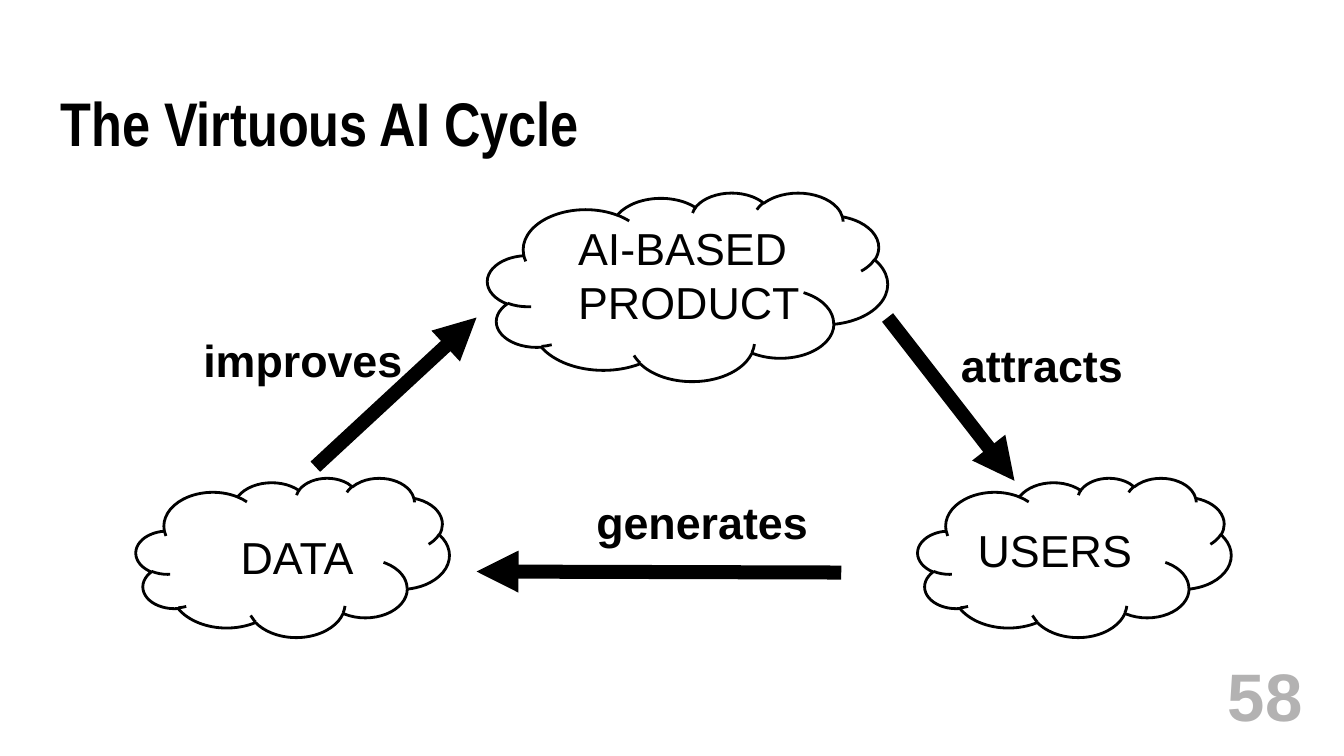
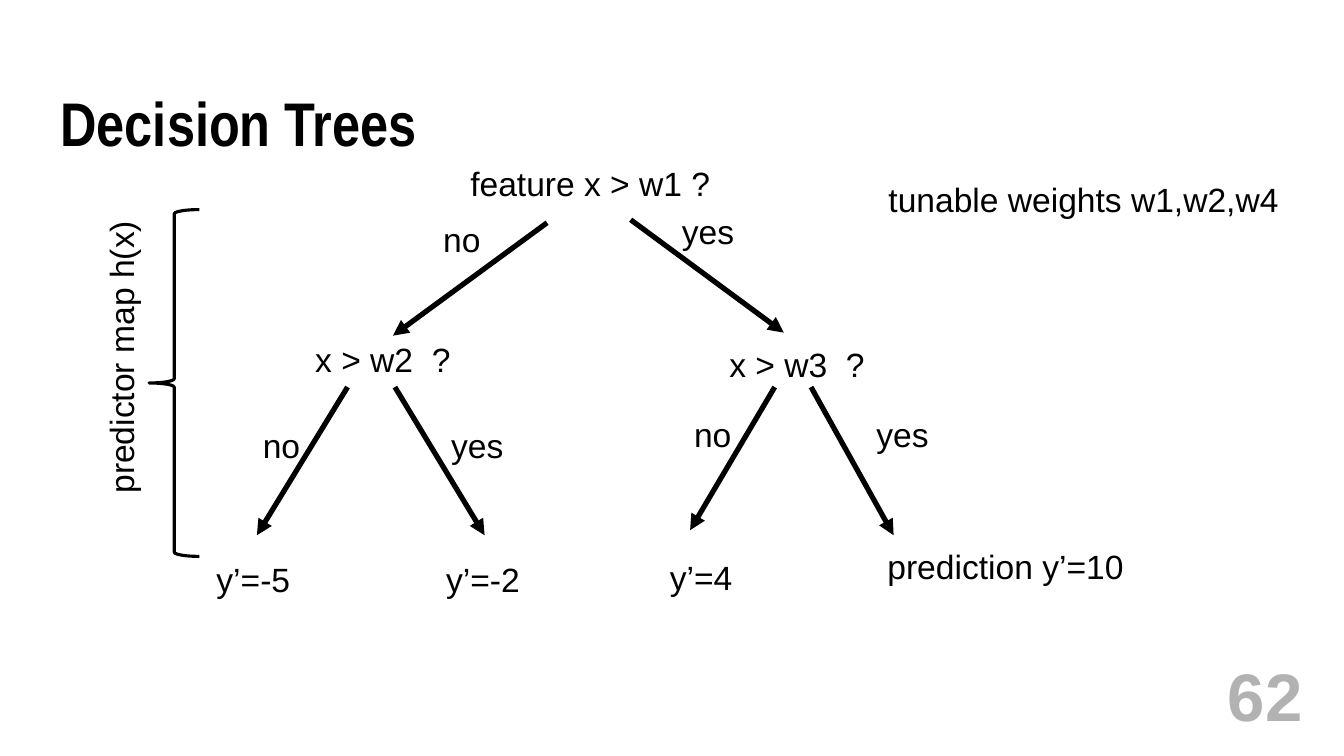
import dataclasses

import lxml.etree
import pptx
import pptx.dml.color
import pptx.enum.shapes
import pptx.enum.text
import pptx.oxml.ns
import pptx.util

Inches = pptx.util.Inches
Pt = pptx.util.Pt
RGB = pptx.dml.color.RGBColor
SHAPE = pptx.enum.shapes.MSO_SHAPE
STRAIGHT = pptx.enum.shapes.MSO_CONNECTOR.STRAIGHT
ALIGN = pptx.enum.text.PP_ALIGN
ANCHOR = pptx.enum.text.MSO_ANCHOR
AUTO = pptx.enum.text.MSO_AUTO_SIZE
qn = pptx.oxml.ns.qn


@dataclasses.dataclass(frozen=True)
class Theme:
    ink: RGB = RGB(0x00, 0x00, 0x00)
    muted: RGB = RGB(0xB3, 0xB2, 0xB2)
    body_font: str = "Arial"
    title_font: str = "Arial Narrow"
    title_size: int = 44
    number_size: int = 48
    cycle_size: int = 32
    tree_size: int = 24
    cycle_arrow: float = 10
    tree_arrow: float = 3.75
    cloud_line: float = 2
    brace_line: float = 2.25


@dataclasses.dataclass(frozen=True)
class Box:
    left: float
    top: float
    width: float
    height: float

    def inner(self, left, top, width, height):
        """Turn a box relative to this one into a slide box."""
        return Box(self.left + left, self.top + top, width, height)

    def point(self, x, y):
        return Inches(self.left + x), Inches(self.top + y)

    def emu(self):
        return [Inches(v) for v in dataclasses.astuple(self)]


THEME = Theme()
TITLE_BOX = Box(0.6, 0.92, 12.13, 0.67)
NUMBER_BOX = Box(10.92, 6.58, 2.05, 0.63)
CYCLE_BOX = Box(1.35, 1.91, 10.87, 4.41)
TREE_BOX = Box(2.05, 1.57, 10.79, 4.43)
BRACE_BOX = Box(0.95, 2.08, 1.03, 3.44)
LINE_HEIGHT = {THEME.cycle_size: 0.64, THEME.tree_size: 0.5}


def apply(obj, values):
    for name, value in values.items():
        setattr(obj, name, value)


def set_margins(tf, size):
    apply(tf, {f"margin_{side}": Inches(size)
               for side in ("left", "top", "right", "bottom")})


def write(tf, text, size, font=THEME.body_font, color=THEME.ink, bold=False,
          align=ALIGN.LEFT):
    """Fill a text frame, one paragraph for each line of text."""
    for i, line in enumerate(text.split("\n")):
        p = tf.add_paragraph() if i else tf.paragraphs[0]
        p.alignment = align
        r = p.add_run()
        r.text = line
        apply(r.font, {"name": font, "size": Pt(size), "bold": bold})
        r.font.color.rgb = color


def add_text(slide, box, text, size, wrap=True, **style):
    sp = slide.shapes.add_textbox(*box.emu())
    apply(sp.text_frame, {"word_wrap": wrap,
                          "auto_size": AUTO.SHAPE_TO_FIT_TEXT})
    write(sp.text_frame, text, size, **style)
    return sp


def add_outline(slide, kind, box, width):
    sp = slide.shapes.add_shape(kind, *box.emu())
    sp.shadow.inherit = False
    sp.fill.background()
    sp.line.color.rgb = THEME.ink
    sp.line.width = Pt(width)


def add_arrow(slide, box, start, end, width):
    line = slide.shapes.add_connector(
        STRAIGHT, *box.point(*start), *box.point(*end))
    line.line.color.rgb = THEME.ink
    line.line.width = Pt(width)
    ln = line.line._get_or_add_ln()
    lxml.etree.SubElement(ln, qn("a:tailEnd"), type="triangle")
    lxml.etree.SubElement(line._element.spPr, qn("a:effectLst"))


def add_titled_slide(prs, title, number):
    slide = prs.slides.add_slide(prs.slide_layouts[5])
    sp = slide.shapes.title
    apply(sp, dict(zip(("left", "top", "width", "height"), TITLE_BOX.emu())))
    tf = sp.text_frame
    apply(tf, {"word_wrap": True, "auto_size": AUTO.NONE,
               "vertical_anchor": ANCHOR.MIDDLE})
    set_margins(tf, 0)
    write(tf, title, THEME.title_size, font=THEME.title_font, bold=True)
    tf.paragraphs[0].line_spacing = 0.9

    tf = add_text(slide, NUMBER_BOX, number, THEME.number_size,
                  color=THEME.muted, bold=True, align=ALIGN.RIGHT).text_frame
    apply(tf, {"auto_size": AUTO.NONE, "vertical_anchor": ANCHOR.MIDDLE})
    set_margins(tf, 0.04)
    return slide


def draw_cycle(slide, box):
    size = THEME.cycle_size
    height = LINE_HEIGHT[size]
    add_text(slide, box.inner(4.29, 0.23, 2.42, 1.18), "AI-BASED\nPRODUCT",
             size, wrap=False)
    add_text(slide, box.inner(7.76, 3.23, 2.72, height), "USERS", size,
             align=ALIGN.CENTER)
    add_text(slide, box.inner(0.94, 3.3, 1.33, height), "DATA", size,
             wrap=False)

    steps = [
        ("attracts", (8.09, 1.39, 1.82), (7.46, 1.24), (8.72, 2.86)),
        ("generates", (4.47, 2.95, 2.32), (7, 3.77), (3.38, 3.76)),
        ("improves", (0.57, 1.34, 2.2), (1.78, 2.72), (3.38, 1.24)),
    ]
    for label, place, start, end in steps:
        add_arrow(slide, box, start, end, THEME.cycle_arrow)
        add_text(slide, box.inner(*place, height), label, size, wrap=False,
                 bold=True)

    width, depth = 3.11, 1.58
    bottom = box.height - depth
    clouds = [(0, bottom, width, depth), (3.49, 0, 3.97, 1.87),
              (box.width - width, bottom, width, depth)]
    for cloud in clouds:
        add_outline(slide, SHAPE.CLOUD, box.inner(*cloud), THEME.cloud_line)


def draw_tree(slide, box):
    size = THEME.tree_size
    height = LINE_HEIGHT[size]
    nodes = [
        ("feature x > w1 ?", 2.52, 0, 2.64),
        ("x > w2  ?", 0.98, 1.74, 1.62),
        ("x > w3  ?", 5.09, 1.79, 1.65),
        ("y’=-5", 0, 3.93, 1.11),
        ("y’=-2", 2.28, 3.93, 1.37),
        ("y’=4", 4.5, 3.91, 0.94),
        ("prediction y’=10", 6.66, 3.8, 2.84),
    ]
    for text, left, top, width in nodes:
        add_text(slide, box.inner(left, top, width, height), text, size)

    branches = [
        ("no", (2.25, 0.55), (3.38, 0.64), (1.85, 1.76)),
        ("yes", (4.62, 0.47), (4.21, 0.61), (5.73, 1.73)),
        ("no", (0.46, 2.6), (1.4, 2.27), (0.5, 3.74)),
        ("yes", (2.33, 2.6), (1.87, 2.27), (2.76, 3.74)),
        ("no", (4.74, 2.49), (5.64, 2.27), (4.8, 3.69)),
        ("yes", (6.55, 2.49), (6, 2.27), (6.82, 3.74)),
    ]
    for label, place, start, end in branches:
        add_arrow(slide, box, start, end, THEME.tree_arrow)
        add_text(slide, box.inner(*place, 1.02, height), label, size)

    add_text(slide, box.inner(6.67, 0.16, 4.12, height),
             "tunable weights w1,w2,w4", size, wrap=False)


def draw_brace(slide, box):
    """Draw a left brace with its label turned to read upwards."""
    brace, length = 0.5, 2.93
    height = LINE_HEIGHT[THEME.tree_size]
    add_outline(slide, SHAPE.LEFT_BRACE,
                box.inner(box.width - brace, 0, brace, box.height),
                THEME.brace_line)
    label = box.inner((height - length) / 2, 1.2, length, height)
    sp = add_text(slide, label, "predictor map h(x)", THEME.tree_size,
                  wrap=False)
    sp.rotation = 270


def main():
    prs = pptx.Presentation()
    prs.slide_width, prs.slide_height = Inches(13.34), Inches(7.5)

    draw_cycle(add_titled_slide(prs, "The Virtuous AI Cycle", "58"), CYCLE_BOX)

    slide = add_titled_slide(prs, "Decision Trees", "62")
    draw_tree(slide, TREE_BOX)
    draw_brace(slide, BRACE_BOX)

    prs.save("out.pptx")


if __name__ == "__main__":
    main()
